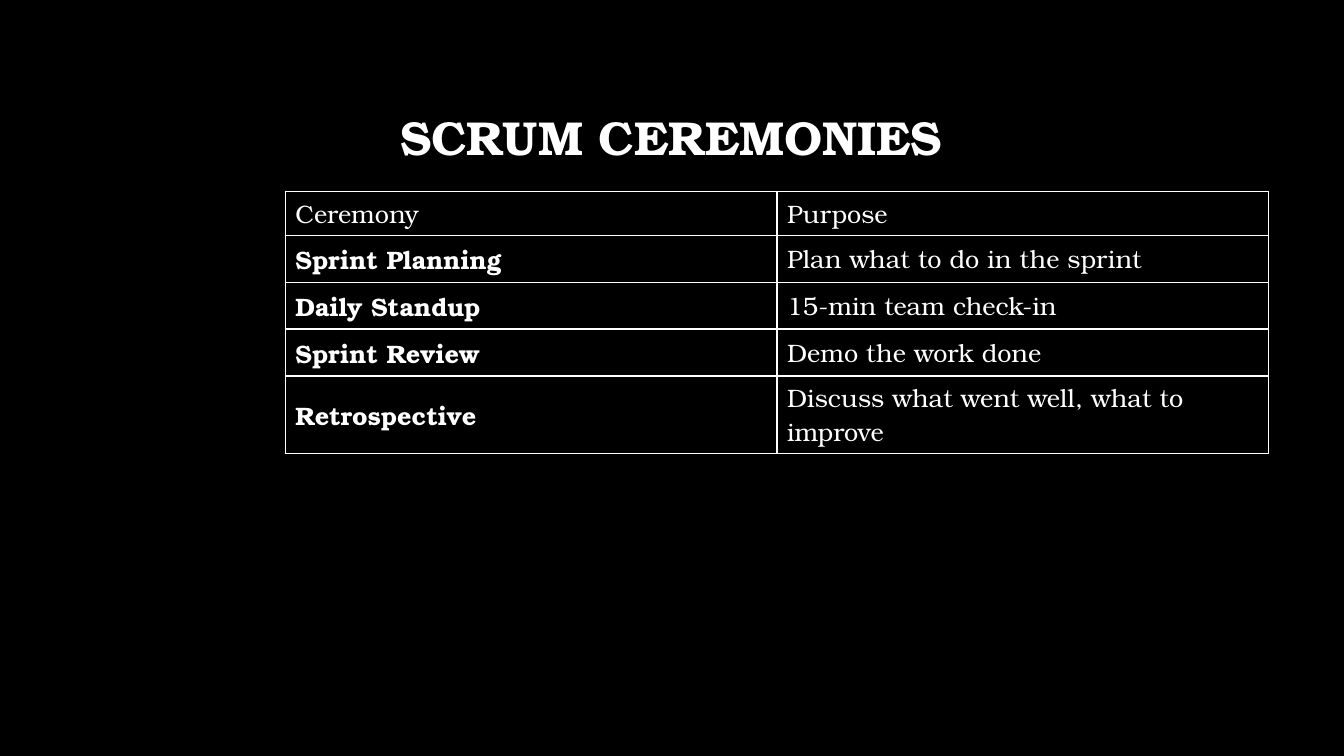
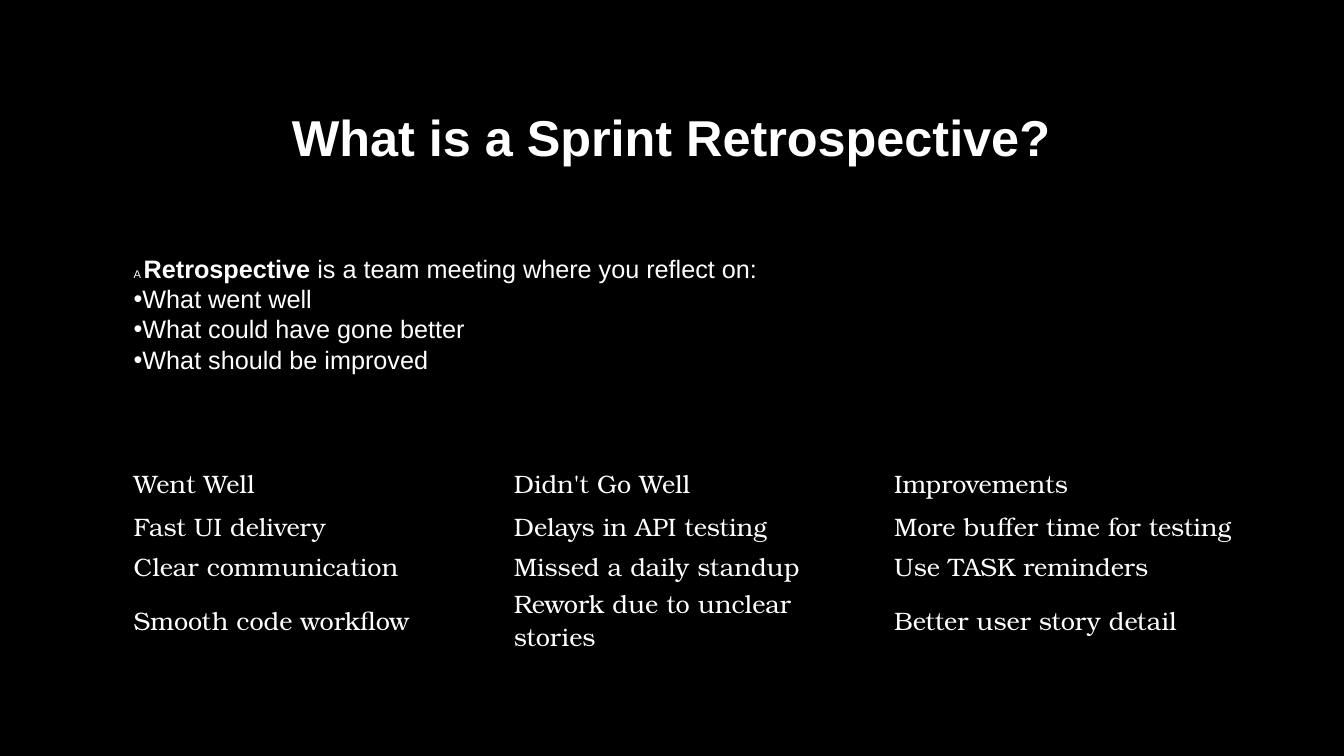
"""Build two black slides on Scrum ceremonies and the sprint retrospective."""
from lxml import etree
from pptx import Presentation
from pptx.dml.color import RGBColor
from pptx.enum import text
from pptx.oxml import ns
from pptx.util import Pt

SERIF, SANS = "TeX Gyre Bonum", "Arial"
WHITE, BLACK = "FFFFFF", "000000"


def rgb(value):
    return RGBColor.from_string(value)


def write(p, words, font=SERIF, size=18, bold=False, color=WHITE):
    r = p.add_run()
    r.text = words
    r.font.name, r.font.size, r.font.bold = font, Pt(size), bold
    r.font.color.rgb = rgb(color)


prs = Presentation()
prs.slide_width, prs.slide_height = Pt(960), Pt(540)
bg = prs.slide_master.background.fill
bg.solid()
bg.fore_color.rgb = rgb(BLACK)

slides = [
    dict(
        layout=5, title="SCRUM CEREMONIES", font=SERIF, size=34,
        left=203.8, top=136.8, col=351.2, heights=[31, 33.5, 33.5, 33.5, 55],
        pad=3.6, border=True, bold_names=True,
        rows=[
            ["Ceremony", "Purpose"],
            ["Sprint Planning", "Plan what to do in the sprint"],
            ["Daily Standup", "15-min team check-in"],
            ["Sprint Review", "Demo the work done"],
            ["Retrospective", "Discuss what went well, what to improve"],
        ],
    ),
    dict(
        layout=1, title="What is a Sprint Retrospective?", font=SANS, size=36,
        left=88.3, top=329.8, col=271.6, heights=[31.5, 28.8, 28.8, 47.7],
        pad=0, border=False, bold_names=False,
        rows=[
            ["Went Well", "Didn't Go Well", "Improvements"],
            ["Fast UI delivery", "Delays in API testing", "More buffer time for testing"],
            ["Clear communication", "Missed a daily standup", "Use TASK reminders"],
            ["Smooth code workflow", "Rework due to unclear stories", "Better user story detail"],
        ],
    ),
]

for d in slides:
    s = prs.slides.add_slide(prs.slide_layouts[d["layout"]])
    title = s.shapes.title
    title.left, title.top, title.width, title.height = Pt(72), Pt(48), Pt(815), Pt(104.4)
    tf = title.text_frame
    tf.auto_size = text.MSO_AUTO_SIZE.NONE
    tf.vertical_anchor = text.MSO_ANCHOR.MIDDLE
    p = tf.paragraphs[0]
    p.alignment, p.line_spacing = text.PP_ALIGN.CENTER, 0.9
    write(p, d["title"], font=d["font"], size=d["size"], bold=True)

    rows, heights = d["rows"], d["heights"]
    n = len(rows[0])
    table = s.shapes.add_table(len(rows), n, Pt(d["left"]), Pt(d["top"]),
                               Pt(d["col"] * n), Pt(sum(heights))).table
    table.first_row = table.horz_banding = False
    for col in table.columns:
        col.width = Pt(d["col"])
    for i, row in enumerate(rows):
        table.rows[i].height = Pt(heights[i])
        for j, words in enumerate(row):
            cell = table.cell(i, j)
            cell.margin_top = cell.margin_bottom = Pt(d["pad"])
            cell.vertical_anchor = text.MSO_ANCHOR.MIDDLE
            cell.fill.background()
            write(cell.text_frame.paragraphs[0], words,
                  bold=d["bold_names"] and i > 0 and j == 0)
            tcPr = cell._tc.get_or_add_tcPr()
            for k, side in enumerate(["lnL", "lnR", "lnT", "lnB"]):
                ln = etree.Element(ns.qn("a:" + side), w=str(Pt(1)))
                tcPr.insert(k, ln)
                if d["border"]:
                    fill = etree.SubElement(ln, ns.qn("a:solidFill"))
                    etree.SubElement(fill, ns.qn("a:srgbClr"), val=WHITE)
                else:
                    etree.SubElement(ln, ns.qn("a:noFill"))

body = s.placeholders[1]
body.left, body.top, body.width, body.height = Pt(88.3), Pt(177), Pt(464.4), Pt(116.6)
tf = body.text_frame
tf.word_wrap = False
tf.auto_size = text.MSO_AUTO_SIZE.NONE
tf.vertical_anchor = text.MSO_ANCHOR.TOP
lines = [
    [("A ", 8, False), ("Retrospective", 18, True),
     (" is a team meeting where you reflect on:", 18, False)],
    [("What went well", 18, False)],
    [("What could have gone better", 18, False)],
    [("What should be improved", 18, False)],
]
for i, line in enumerate(lines):
    p = tf.add_paragraph() if i else tf.paragraphs[0]
    p.space_before, p.line_spacing = Pt(0), Pt(21.7)
    pPr = p._p.get_or_add_pPr()
    pPr.set("marL", "0")
    pPr.set("indent", "0")
    if i:
        etree.SubElement(pPr, ns.qn("a:buChar"), char="•")
    else:
        etree.SubElement(pPr, ns.qn("a:buNone"))
    for words, size, bold in line:
        write(p, words, font=SANS, size=size, bold=bold)

prs.save("out.pptx")
